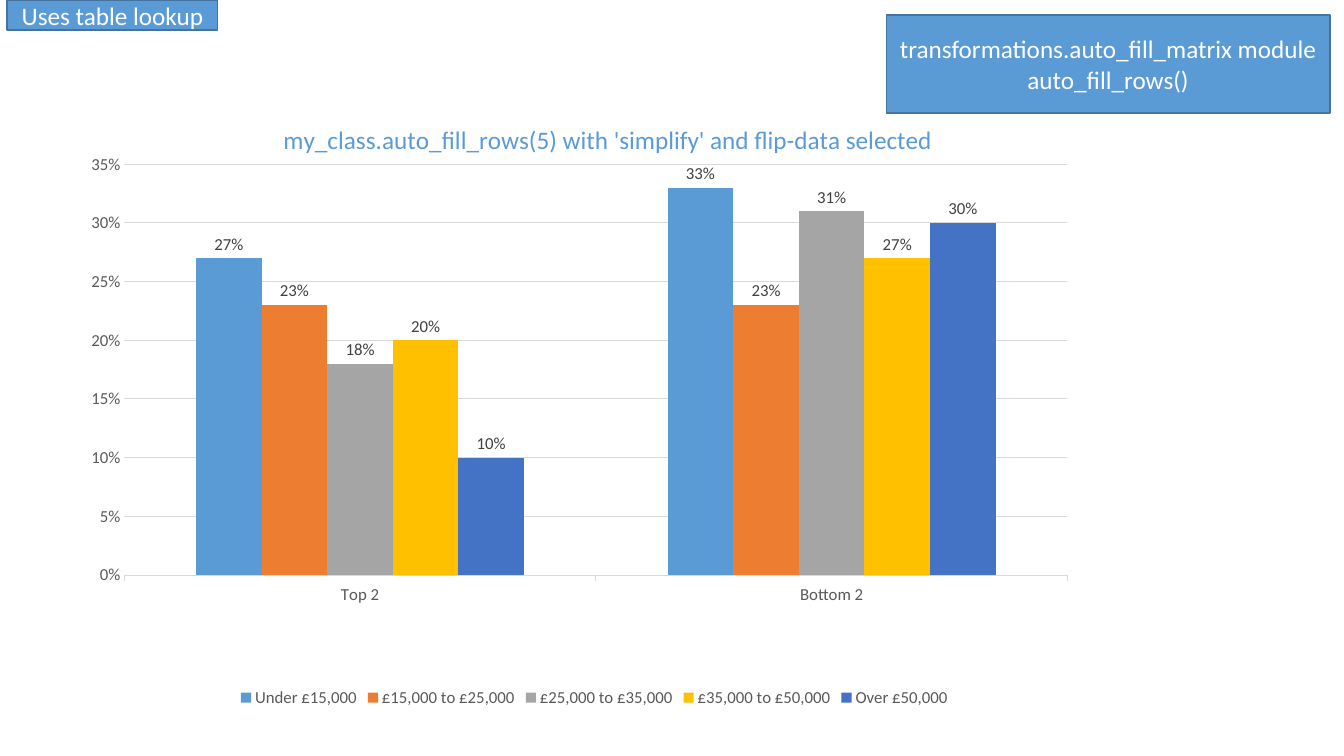
from lxml.etree import SubElement
from pptx import Presentation
from pptx.chart.data import CategoryChartData
from pptx.dml.color import RGBColor
from pptx.enum.chart import XL_AXIS_CROSSES as Crosses, XL_CHART_TYPE as ChartType
from pptx.enum.chart import XL_LABEL_POSITION as LabelPos, XL_LEGEND_POSITION as LegendPos
from pptx.enum.chart import XL_TICK_MARK as Tick
from pptx.enum.shapes import MSO_SHAPE as Shape
from pptx.enum.text import MSO_ANCHOR as Anchor, PP_ALIGN as Align
from pptx.oxml.ns import qn
from pptx.util import Inches, Pt

COLOURS = {
    "blue": "5B9BD5", "orange": "ED7D31", "grey": "A5A5A5", "yellow": "FFC000",
    "royal": "4472C4", "outline": "43739E", "white": "FFFFFF",
    "axis": "595959", "label": "404040", "grid": "D9D9D9",
}
INCOME_BANDS = [
    ("Under £15,000", (0.27, 0.33), "blue"),
    ("£15,000 to £25,000", (0.23, 0.23), "orange"),
    ("£25,000 to £35,000", (0.18, 0.31), "grey"),
    ("£35,000 to £50,000", (0.20, 0.27), "yellow"),
    ("Over £50,000", (0.10, 0.30), "royal"),
]


def rgb(name):
    """Return the named palette colour."""
    return RGBColor.from_string(COLOURS[name])


def apply(target, **values):
    """Set each given attribute on the target."""
    for name, value in values.items():
        setattr(target, name, value)


def style_font(font, size, colour):
    """Give a font its face, size and colour."""
    apply(font, name="Calibri", size=Pt(size), bold=False)
    font.color.rgb = rgb(colour)


def style_line(line, colour, width):
    """Give a line its colour and width."""
    line.color.rgb = rgb(colour)
    line.width = Pt(width)


def set_layout(parent, position, **values):
    """Place a chart part by fractions of the chart area."""
    layout = parent.find(qn("c:layout"))
    if layout is None:
        layout = SubElement(parent, qn("c:layout"))
        parent.insert(position, layout)
    manual = SubElement(layout, qn("c:manualLayout"))
    for tag, value in values.items():
        SubElement(manual, qn(f"c:{tag}")).set("val", str(value))


def add_note(page, box, lines):
    """Add a filled rectangle with centred lines of text."""
    note = page.shapes.add_shape(Shape.RECTANGLE, *map(Inches, box))
    note.shadow.inherit = False
    note.fill.solid()
    note.fill.fore_color.rgb = rgb("blue")
    style_line(note.line, "outline", 1)
    frame = note.text_frame
    apply(frame, word_wrap=True, vertical_anchor=Anchor.MIDDLE)
    for index, text in enumerate(lines):
        para = frame.add_paragraph() if index else frame.paragraphs[0]
        para.alignment = Align.CENTER
        span = para.add_run()
        span.text = text
        style_font(span.font, 18, "white")


def style_axes(chart):
    """Format both axes, with the values on the right."""
    categories, values = chart.category_axis, chart.value_axis
    apply(categories, crosses=Crosses.MAXIMUM, major_tick_mark=Tick.OUTSIDE,
          minor_tick_mark=Tick.NONE)
    apply(values, minimum_scale=0, maximum_scale=0.35, major_unit=0.05,
          major_tick_mark=Tick.NONE, minor_tick_mark=Tick.NONE)
    apply(values.tick_labels, number_format="0%", number_format_is_linked=False)
    for axis in (categories, values):
        style_font(axis.tick_labels.font, 12, "axis")
    style_line(categories.format.line, "grid", 0.75)
    style_line(values.major_gridlines.format.line, "grid", 0.75)
    values.format.line.fill.background()


def style_series(plot):
    """Colour each income band and label its columns."""
    apply(plot, gap_width=219, overlap=0, vary_by_categories=False)
    for series, (_, _, colour) in zip(plot.series, INCOME_BANDS):
        series.format.fill.solid()
        series.format.fill.fore_color.rgb = rgb(colour)
        series.invert_if_negative = False
        labels = series.data_labels
        apply(labels, show_value=True, position=LabelPos.OUTSIDE_END,
              number_format="0%", number_format_is_linked=False)
        style_font(labels.font, 12, "label")


def add_income_chart(page, box, title):
    """Add the clustered columns of income bands."""
    data = CategoryChartData(number_format="0%")
    data.categories = ["Top 2", "Bottom 2"]
    for name, values, _ in INCOME_BANDS:
        data.add_series(name, values)
    chart = page.shapes.add_chart(
        ChartType.COLUMN_CLUSTERED, *map(Inches, box), data).chart
    apply(chart.font, name="Calibri", size=Pt(10))

    chart.has_title = True
    span = chart.chart_title.text_frame.paragraphs[0].add_run()
    span.text = title
    style_font(span.font, 18, "blue")
    set_layout(chart.chart_title._element, 1, xMode="edge", yMode="edge", x=0.2, y=0.06)

    chart.has_legend = True
    apply(chart.legend, position=LegendPos.BOTTOM, include_in_layout=False)
    style_font(chart.legend.font, 12, "axis")

    style_axes(chart)
    style_series(chart.plots[0])
    set_layout(chart.plots[0]._element.getparent(), 0, layoutTarget="inner",
               xMode="edge", yMode="edge", x=0.053, y=0.134, w=0.897, h=0.65)


def main():
    """Build and save the deck."""
    deck = Presentation()
    apply(deck, slide_width=Inches(13.33), slide_height=Inches(7.5))
    page = deck.slides.add_slide(deck.slide_layouts[6])
    add_income_chart(page, (0.68, 0.79, 10.43, 6.27),
                     "my_class.auto_fill_rows(5) with 'simplify' and flip-data selected")
    add_note(page, (8.79, 0.15, 4.4, 0.97),
             ["transformations.auto_fill_matrix module", "auto_fill_rows()"])
    add_note(page, (0.07, 0, 2.09, 0.3), ["Uses table lookup"])
    deck.save("out.pptx")


if __name__ == "__main__":
    main()
